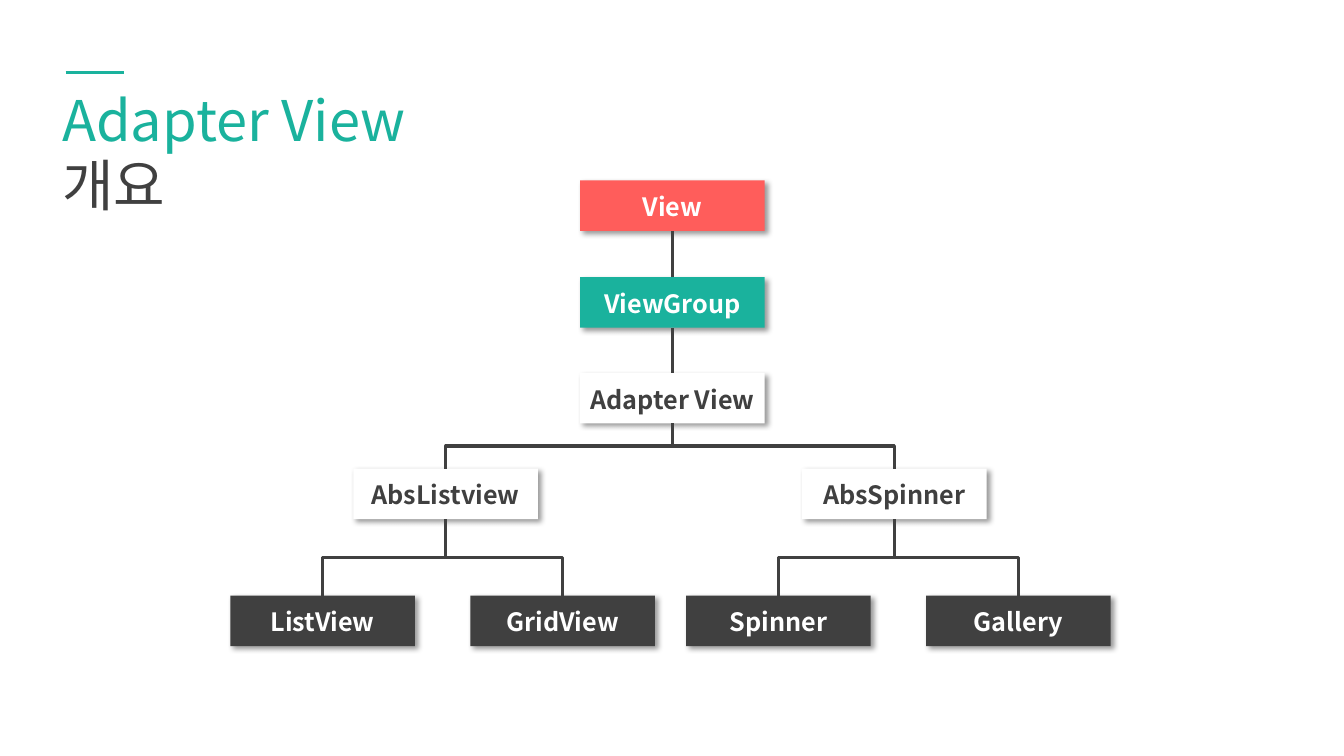
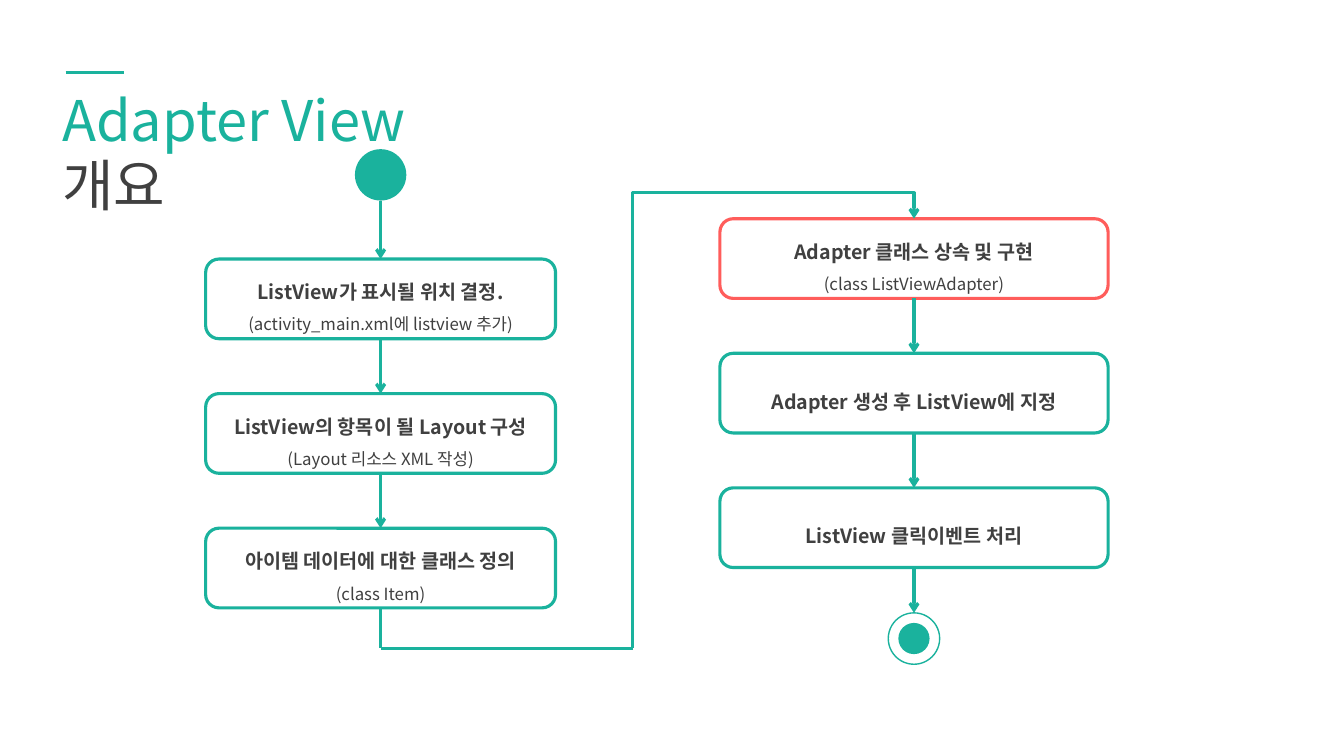
from lxml.etree import SubElement
from pptx import Presentation
from pptx.dml.color import RGBColor
from pptx.enum.shapes import MSO_CONNECTOR as CONNECTOR, MSO_SHAPE as SHAPE
from pptx.enum.text import MSO_ANCHOR as ANCHOR, PP_ALIGN as ALIGN
from pptx.oxml.ns import qn
from pptx.util import Inches, Pt

FONT = "Noto Sans CJK KR"
TEAL = "1AB29D"
CORAL = "FF5D5B"
DARK = "404040"
WHITE = "FFFFFF"

NODE_WIDTH, NODE_HEIGHT = 1.83, 0.5
STEP_HEIGHT, STEP_PITCH = 0.79, 1.335
DOT_SIZE, INNER_DOT_SIZE = 0.51, 0.31

LEVEL_TOPS = [0, 0.96, 1.91, 2.86, 4.12]
TREE_NODES = {
    "View": (4.38, 0, CORAL, WHITE, None),
    "ViewGroup": (4.38, 1, TEAL, WHITE, "View"),
    "Adapter View": (4.38, 2, WHITE, DARK, "ViewGroup"),
    "AbsListview": (2.13, 3, WHITE, DARK, "Adapter View"),
    "AbsSpinner": (6.58, 3, WHITE, DARK, "Adapter View"),
    "ListView": (0.91, 4, DARK, WHITE, "AbsListview"),
    "GridView": (3.29, 4, DARK, WHITE, "AbsListview"),
    "Spinner": (5.43, 4, DARK, WHITE, "AbsSpinner"),
    "Gallery": (7.81, 4, DARK, WHITE, "AbsSpinner"),
}

PREPARE_STEPS = [
    ("ListView가 표시될 위치 결정.", "(activity_main.xml에 listview 추가)", TEAL),
    ("ListView의 항목이 될 Layout 구성", "(Layout 리소스 XML 작성)", TEAL),
    ("아이템 데이터에 대한 클래스 정의", "(class Item)", TEAL),
]
ADAPTER_STEPS = [
    ("Adapter 클래스 상속 및 구현", "(class ListViewAdapter)", CORAL),
    ("Adapter 생성 후 ListView에 지정", None, TEAL),
    ("ListView 클릭이벤트 처리", None, TEAL),
]


def color(value):
    return RGBColor.from_string(value)


def add_text(frame, text, new_paragraph=False, size=18, fill=DARK, bold=False,
             align=ALIGN.CENTER, line=23):
    frame.word_wrap = False
    paragraph = frame.add_paragraph() if new_paragraph else frame.paragraphs[0]
    paragraph.alignment = align
    paragraph.line_spacing = Pt(line)
    run = paragraph.add_run()
    run.text = text
    run.font.name = FONT
    run.font.size = Pt(size)
    run.font.bold = bold
    run.font.color.rgb = color(fill)
    properties = run.font._element
    SubElement(properties, qn("a:ea"), typeface=FONT)


def add_box(slide, kind, left, top, width, height, fill=None, line=None, weight=2.25):
    shape = slide.shapes.add_shape(
        kind, Inches(left), Inches(top), Inches(width), Inches(height))
    shape.shadow.inherit = False
    if fill:
        shape.fill.solid()
        shape.fill.fore_color.rgb = color(fill)
    else:
        shape.fill.background()
    if line:
        shape.line.color.rgb = color(line)
        shape.line.width = Pt(weight)
    else:
        shape.line.fill.background()
    shape.text_frame.vertical_anchor = ANCHOR.MIDDLE
    return shape


def add_dot(slide, center_x, center_y, size, **style):
    add_box(slide, SHAPE.OVAL, center_x - size / 2, center_y - size / 2, size, size, **style)


def cast_shadow(shape):
    effects = shape._element.spPr.find(qn("a:effectLst"))
    shadow = SubElement(effects, qn("a:outerShdw"), blurRad=str(Pt(4)), dist=str(Pt(3)),
                        dir="2700000", algn="tl", rotWithShape="0")
    tint = SubElement(shadow, qn("a:srgbClr"), val="000000")
    SubElement(tint, qn("a:alpha"), val="40000")


def add_line(slide, start, end, stroke=TEAL, weight=2.25, arrow=False,
             kind=CONNECTOR.STRAIGHT):
    connector = slide.shapes.add_connector(
        kind, *[Inches(value) for value in (*start, *end)])
    connector.line.color.rgb = color(stroke)
    connector.line.width = Pt(weight)
    if arrow:
        SubElement(connector.line._get_or_add_ln(), qn("a:tailEnd"), type="arrow")
    SubElement(connector._element.spPr, qn("a:effectLst"))
    return connector


def add_vertical_elbow(slide, start, end, bend=0.5, **style):
    center_x, center_y = (start[0] + end[0]) / 2, (start[1] + end[1]) / 2
    turn = 1 if start[0] < end[0] else -1
    before_turn = [(center_x + turn * (y - center_y), center_y - turn * (x - center_x))
                   for x, y in (start, end)]
    connector = add_line(slide, *before_turn, kind=CONNECTOR.ELBOW, **style)
    properties = connector._element.spPr
    properties.find(qn("a:xfrm")).set("rot", str(turn * 90 % 360 * 60000))
    geometry = properties.find(qn("a:prstGeom"))
    guides = geometry.find(qn("a:avLst"))
    if guides is None:
        guides = SubElement(geometry, qn("a:avLst"))
    SubElement(guides, qn("a:gd"), name="adj1", fmla=f"val {round(bend * 100000)}")


def add_title(slide, left, top):
    add_line(slide, (left + 0.13, top), (left + 0.71, top), weight=2)
    box = slide.shapes.add_textbox(
        Inches(left), Inches(top + 0.09), Inches(4.73), Inches(1.41))
    style = dict(size=40, align=ALIGN.LEFT, line=47)
    add_text(box.text_frame, "Adapter View", fill=TEAL, **style)
    add_text(box.text_frame, "개요", new_paragraph=True, **style)


def add_tree(slide, left, top):
    for name, (center, level, fill, ink, parent) in TREE_NODES.items():
        x, y = left + center, top + LEVEL_TOPS[level]
        node = add_box(slide, SHAPE.RECTANGLE, x - NODE_WIDTH / 2, y,
                       NODE_WIDTH, NODE_HEIGHT, fill=fill)
        cast_shadow(node)
        add_text(node.text_frame, name, fill=ink, bold=True)
        if parent:
            parent_center, parent_level = TREE_NODES[parent][:2]
            parent_end = (left + parent_center, top + LEVEL_TOPS[parent_level] + NODE_HEIGHT)
            connect = add_line if parent_center == center else add_vertical_elbow
            connect(slide, (x, y), parent_end, stroke=DARK)


def add_steps(slide, left, top, width, steps):
    center = left + width / 2
    for index, (heading, detail, outline) in enumerate(steps):
        y = top + index * STEP_PITCH
        step = add_box(slide, SHAPE.ROUNDED_RECTANGLE, left, y, width, STEP_HEIGHT,
                       line=outline)
        frame = step.text_frame
        frame.margin_top = Inches(0.14)
        add_text(frame, heading, size=14, bold=True, line=22)
        if detail:
            add_text(frame, detail, new_paragraph=True, size=12, line=22)
        if index:
            add_line(slide, (center, y - STEP_PITCH + STEP_HEIGHT), (center, y), arrow=True)
    return center, top + (len(steps) - 1) * STEP_PITCH + STEP_HEIGHT


def add_flow(slide, left, top):
    first_top, second_top = top + 1.09, top + 0.69
    first_x, first_bottom = add_steps(slide, left, first_top, 3.47, PREPARE_STEPS)
    second_x, second_bottom = add_steps(slide, left + 5.1, second_top, 3.85, ADAPTER_STEPS)

    add_dot(slide, first_x, top + DOT_SIZE / 2, DOT_SIZE, fill=TEAL)
    add_line(slide, (first_x, top + DOT_SIZE), (first_x, first_top), arrow=True)

    corner = (first_x, first_bottom + 0.4)
    turn = (first_x + 2.5, corner[1])
    add_line(slide, (first_x, first_bottom), corner)
    add_line(slide, corner, turn)
    add_vertical_elbow(slide, turn, (second_x, second_top), bend=1.06, arrow=True)

    end_top = second_bottom + 0.45
    end_center = end_top + DOT_SIZE / 2
    add_line(slide, (second_x, second_bottom), (second_x, end_top), arrow=True)
    add_dot(slide, second_x, end_center, DOT_SIZE, line=TEAL, weight=1)
    add_dot(slide, second_x, end_center, INNER_DOT_SIZE, fill=TEAL)


def main():
    presentation = Presentation()
    presentation.slide_width = Inches(13.33)
    presentation.slide_height = Inches(7.5)
    for add_diagram, left, top in ((add_tree, 2.29, 1.79), (add_flow, 2.04, 1.48)):
        slide = presentation.slides.add_slide(presentation.slide_layouts[6])
        add_title(slide, 0.52, 0.72)
        add_diagram(slide, left, top)
    presentation.save("out.pptx")


if __name__ == "__main__":
    main()
